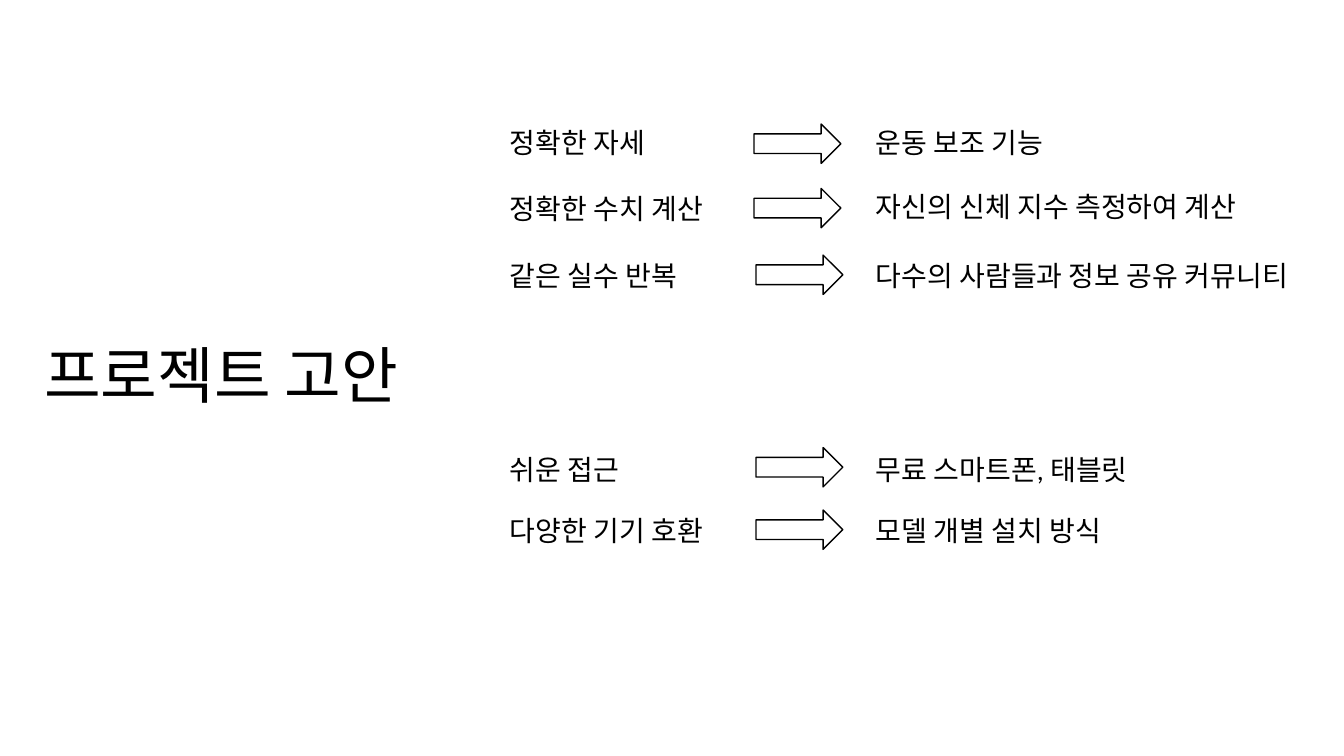
from pptx import Presentation
from pptx.dml.color import RGBColor
from pptx.enum.shapes import MSO_SHAPE as Kind
from pptx.enum.text import MSO_ANCHOR as Anchor
from pptx.util import Pt

BLACK, WHITE = "000000", "FFFFFF"
NEED_X, IDEA_X = 357.1, 618.5

# need, its top, idea, its top, idea line spacing, arrow left, arrow top
ROWS = [
    ("정확한 자세", 90.7, "운동 보조 기능", 90.7, 0.8, 538.6, 88.6),
    ("정확한 수치 계산", 138.2, "자신의 신체 지수 측정하여 계산", 134.6, 0.9, 538.6, 134.6),
    ("같은 실수 반복", 185.8, "다수의 사람들과 정보 공유 커뮤니티", 185.8, 0.8, 540, 182.2),
    ("쉬운 접근", 324, "무료 스마트폰, 태블릿", 324, 0.8, 540, 319.7),
    ("다양한 기기 호환", 367.9, "모델 개별 설치 방식", 367.9, 0.8, 540, 364.3),
]


def color(code):
    return RGBColor.from_string(code)


def add_text(slide, text, x, y, w, h, size=20, gap=0.8, anchor=Anchor.TOP):
    box = slide.shapes.add_textbox(Pt(x), Pt(y), Pt(w), Pt(h))
    frame = box.text_frame
    frame.word_wrap = True
    frame.vertical_anchor = anchor
    para = frame.paragraphs[0]
    para.text = text
    para.line_spacing = gap
    para.font.name = "Calibri"
    para.font.size = Pt(size)
    para.font.color.rgb = color(BLACK)


def add_arrow(slide, x, y):
    arrow = slide.shapes.add_shape(Kind.RIGHT_ARROW, Pt(x), Pt(y), Pt(62), Pt(28.1))
    arrow.shadow.inherit = False
    arrow.fill.solid()
    arrow.fill.fore_color.rgb = color(WHITE)
    arrow.line.color.rgb = color(BLACK)
    arrow.line.width = Pt(1)


def main():
    deck = Presentation()
    deck.slide_width, deck.slide_height = Pt(960), Pt(540)
    slide = deck.slides.add_slide(deck.slide_layouts[6])

    # Title
    add_text(slide, "프로젝트 고안", 24.5, 218.2, 307.4, 104.4, 44, 0.9, Anchor.MIDDLE)

    # Each need points to its idea
    for need, need_y, idea, idea_y, gap, x, y in ROWS:
        add_text(slide, need, NEED_X, need_y, 246.2, 28.1)
        add_text(slide, idea, IDEA_X, idea_y, 332.6, 28.1, gap=gap)
        add_arrow(slide, x, y)

    deck.save("out.pptx")


if __name__ == "__main__":
    main()
